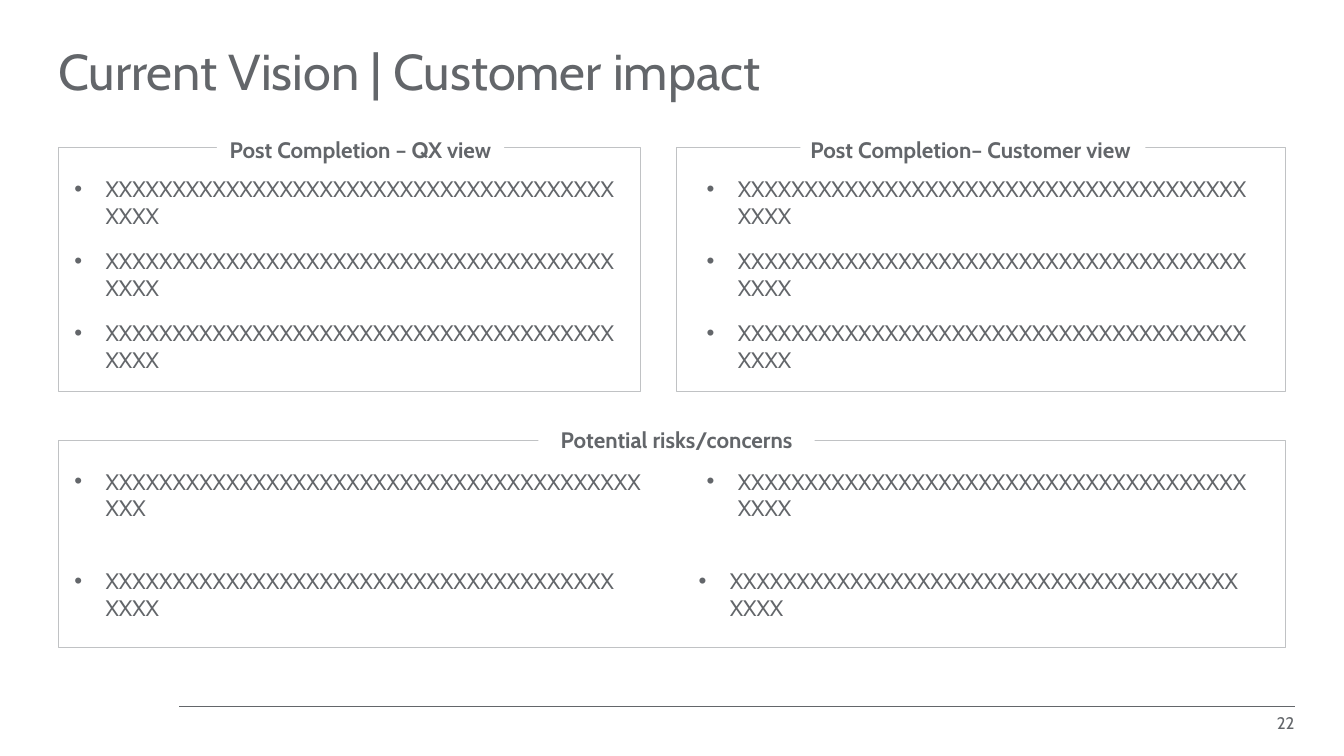
from dataclasses import dataclass

from lxml import etree
from pptx import Presentation
from pptx.dml.color import RGBColor
from pptx.enum.shapes import MSO_CONNECTOR, MSO_SHAPE
from pptx.enum.text import MSO_ANCHOR, MSO_AUTO_SIZE, PP_ALIGN
from pptx.oxml.ns import qn
from pptx.shapes.base import BaseShape
from pptx.slide import Slide
from pptx.util import Inches, Pt

RECTANGLE = MSO_SHAPE.RECTANGLE
STRAIGHT = MSO_CONNECTOR.STRAIGHT
LEFT, CENTER, RIGHT = PP_ALIGN.LEFT, PP_ALIGN.CENTER, PP_ALIGN.RIGHT
TOP, MIDDLE = MSO_ANCHOR.TOP, MSO_ANCHOR.MIDDLE
GROW, FIXED = MSO_AUTO_SIZE.SHAPE_TO_FIT_TEXT, MSO_AUTO_SIZE.NONE

SLIDE_WIDTH, SLIDE_HEIGHT = Inches(13.33), Inches(7.5)
FONT = "Cabin"
GRAY, FRAME_GRAY, WHITE = "63666A", "C0C2C4", "FFFFFF"
INDENT = Inches(0.31)

# All positions and sizes are percentages of the slide's width and height.
LEFT_EDGE = 4.35
LINE_HEIGHT = 4.93
LEFT_BULLETS, RIGHT_BULLETS = 4.8, 51.84
BULLET_WIDTH = 42.39
VIEW_TOP, VIEW_HEIGHT, VIEW_HEADING_TOP = 19.47, 32.27, 17.33
VIEW_BULLET_TOP, VIEW_BULLET_STEP = 22.53, 9.53
RISK_ROWS = (61.2, 74.4)


@dataclass(frozen=True)
class Box:
    left: float
    top: float
    width: float
    height: float

    def lengths(self) -> tuple[int, int, int, int]:
        return across(self.left), down(self.top), across(self.width), down(self.height)


@dataclass(frozen=True)
class Panel:
    frame: Box
    heading_box: Box
    heading: str
    align: PP_ALIGN = CENTER


@dataclass(frozen=True)
class Bullet:
    left: float
    top: float
    width: float = BULLET_WIDTH
    length: int = 42


PANELS = (
    Panel(Box(LEFT_EDGE, VIEW_TOP, 43.29, VIEW_HEIGHT),
          Box(16.13, VIEW_HEADING_TOP, 21.38, LINE_HEIGHT),
          "Post Completion – QX view"),
    Panel(Box(50.34, VIEW_TOP, 45.31, VIEW_HEIGHT),
          Box(59.56, VIEW_HEADING_TOP, 25.66, LINE_HEIGHT),
          "Post Completion– Customer view", LEFT),
    Panel(Box(LEFT_EDGE, 58.27, 91.3, 27.33),
          Box(40.06, 55.73, 20.56, LINE_HEIGHT),
          "Potential risks/concerns"),
)
VIEW_BULLETS = tuple(
    Bullet(left, VIEW_BULLET_TOP + row * VIEW_BULLET_STEP)
    for left in (LEFT_BULLETS, RIGHT_BULLETS)
    for row in range(3)
)
RISK_BULLETS = (
    Bullet(LEFT_BULLETS, RISK_ROWS[0], width=44.04, length=43),
    Bullet(LEFT_BULLETS, RISK_ROWS[1]),
    Bullet(51.24, RISK_ROWS[1]),
    Bullet(RIGHT_BULLETS, RISK_ROWS[0]),
)


def across(percent: float) -> int:
    return round(SLIDE_WIDTH * percent / 100)


def down(percent: float) -> int:
    return round(SLIDE_HEIGHT * percent / 100)


def color(value: str) -> RGBColor:
    return RGBColor.from_string(value)


def write_text(shape: BaseShape, text: str, *, size: float = 16, bold: bool = False,
               align: PP_ALIGN = LEFT, anchor: MSO_ANCHOR = TOP, grow: bool = True,
               inset: bool = True, spacing: float = 1.0, bullet: bool = False) -> None:
    frame = shape.text_frame
    frame.word_wrap = True
    frame.auto_size = GROW if grow else FIXED
    frame.vertical_anchor = anchor
    if not inset:
        frame.margin_left = frame.margin_right = 0
        frame.margin_top = frame.margin_bottom = 0
    paragraph = frame.paragraphs[0]
    paragraph.alignment = align
    paragraph.line_spacing = spacing
    run = paragraph.add_run()
    run.text = text
    run.font.name = FONT
    run.font.size = Pt(size)
    run.font.bold = bold
    run.font.color.rgb = color(GRAY)
    if bullet:
        properties = paragraph._p.get_or_add_pPr()
        properties.set("marL", str(INDENT))
        properties.set("indent", str(-INDENT))
        etree.SubElement(properties, qn("a:buFont"), typeface="Arial")
        etree.SubElement(properties, qn("a:buChar"), char="•")


def add_title(slide: Slide) -> None:
    title = slide.shapes.title
    title.left, title.top, title.width, title.height = Box(LEFT_EDGE, 3.2, 82.82, 13.33).lengths()
    write_text(title, "Current Vision | Customer impact", size=36, anchor=MIDDLE,
               grow=False, inset=False, spacing=0.9)


def add_panel(slide: Slide, panel: Panel) -> None:
    """Draw a frame whose top edge is interrupted by its heading."""
    frame = slide.shapes.add_shape(RECTANGLE, *panel.frame.lengths())
    frame.shadow.inherit = False
    frame.fill.background()
    frame.line.color.rgb = color(FRAME_GRAY)
    frame.line.width = Pt(0.75)

    heading = slide.shapes.add_shape(RECTANGLE, *panel.heading_box.lengths())
    heading.shadow.inherit = False
    heading.fill.solid()
    heading.fill.fore_color.rgb = color(WHITE)
    heading.line.fill.background()
    write_text(heading, panel.heading, bold=True, align=panel.align, anchor=MIDDLE)


def add_bullet(slide: Slide, bullet: Bullet) -> None:
    box = Box(bullet.left, bullet.top, bullet.width, LINE_HEIGHT)
    write_text(slide.shapes.add_textbox(*box.lengths()), "X" * bullet.length, bullet=True)


def add_footer(slide: Slide) -> None:
    rule = slide.shapes.add_connector(STRAIGHT, across(13.35), down(93.47),
                                      across(96.32), down(93.47))
    rule.line.color.rgb = color(GRAY)
    rule.line.width = Pt(0.25)
    etree.SubElement(rule._element.spPr, qn("a:effectLst"))
    number = slide.shapes.add_textbox(*Box(93.62, 94.4, 2.7, 2.67).lengths())
    write_text(number, "22", size=12, align=RIGHT, grow=False, inset=False, spacing=0.99)


def main() -> None:
    presentation = Presentation()
    presentation.slide_width, presentation.slide_height = SLIDE_WIDTH, SLIDE_HEIGHT
    slide = presentation.slides.add_slide(presentation.slide_layouts[5])
    add_title(slide)
    for panel in PANELS:
        add_panel(slide, panel)
    for bullet in VIEW_BULLETS + RISK_BULLETS:
        add_bullet(slide, bullet)
    add_footer(slide)
    presentation.save("out.pptx")


if __name__ == "__main__":
    main()
